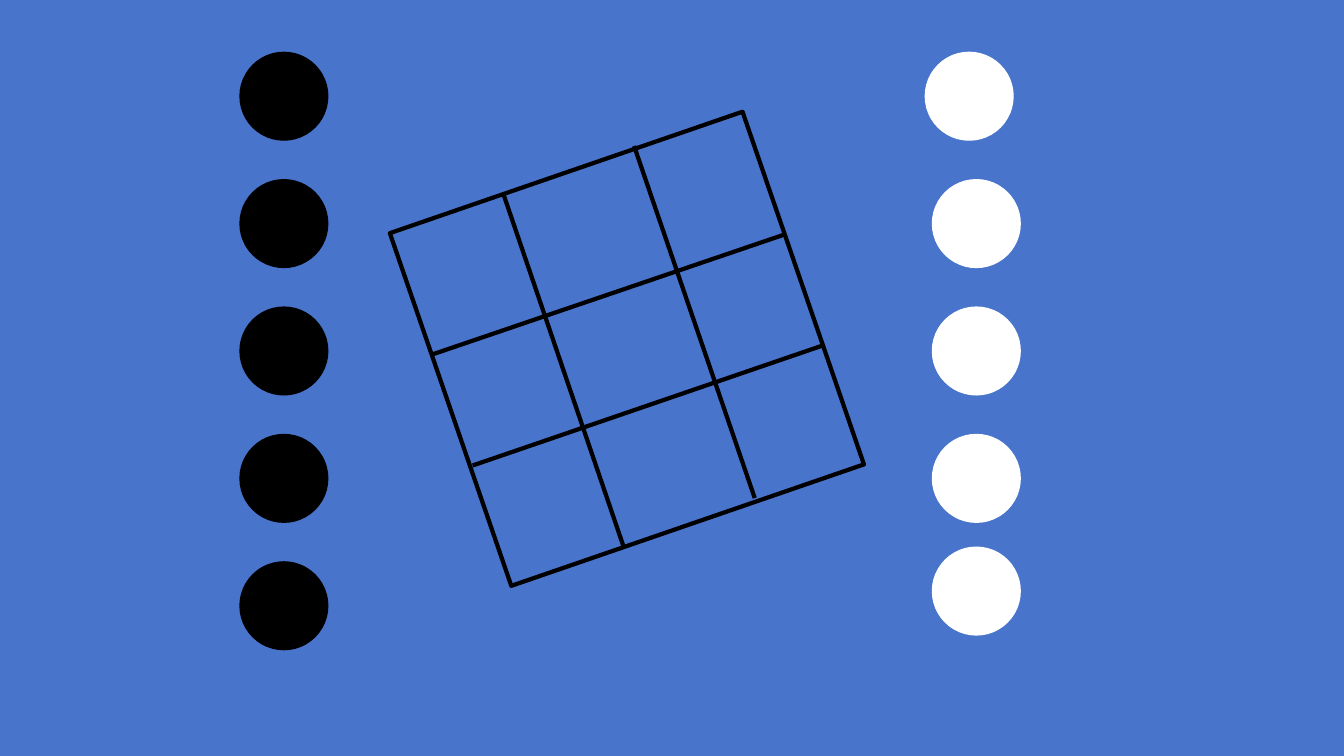
from lxml.etree import SubElement
from pptx import Presentation
from pptx.dml.color import RGBColor
from pptx.enum.shapes import MSO_CONNECTOR as Connector, MSO_SHAPE as Shape
from pptx.oxml.ns import qn
from pptx.util import Cm, Pt

COLORS = {"background": "4874CB", "black": "000000", "white": "FFFFFF"}
BOARD_LINE = {"color": "black", "width": 3}
PIECE_LINE_WIDTH = 1

BOARD = {"left": 11.1, "top": 4.09, "side": 9.4, "rotation": 341}
GRID_LINES = [
    ((10.87, 8.94), (19.74, 5.92)),
    ((11.91, 11.73), (20.78, 8.69)),
    ((15.72, 13.79), (12.7, 4.93)),
    ((19.02, 12.55), (15.98, 3.68)),
]

PIECE_SIZE = 2.21
ROW_TOPS = [1.32 + 3.21 * row for row in range(5)]
PIECES = {
    "black": [(6.05, top) for top in ROW_TOPS],
    # The first and last white pieces sit slightly off the regular column.
    "white": [(23.32, ROW_TOPS[0]), *((23.5, top) for top in ROW_TOPS[1:4]), (23.5, 13.79)],
}


def rgb(name):
    return RGBColor.from_string(COLORS[name])


class GameSlide:
    def __init__(self, presentation):
        self.slide = presentation.slides.add_slide(presentation.slide_layouts[6])
        self.shapes = self.slide.shapes
        background = self.slide.background.fill
        background.solid()
        background.fore_color.rgb = rgb("background")

    def outline(self, item, color, width):
        item.line.fill.solid()
        item.line.color.rgb = rgb(color)
        item.line.width = Pt(width)

    def board(self, left, top, side, rotation):
        square = self.shapes.add_shape(
            Shape.RECTANGLE, Cm(left), Cm(top), Cm(side), Cm(side))
        for attribute, value in {"rotation": rotation}.items():
            setattr(square, attribute, value)
        square.shadow.inherit = False
        square.fill.background()
        self.outline(square, **BOARD_LINE)

    def grid_line(self, start, end):
        divider = self.shapes.add_connector(
            Connector.STRAIGHT, *(Cm(value) for value in (*start, *end)))
        self.outline(divider, **BOARD_LINE)
        SubElement(divider._element.spPr, qn("a:effectLst"))

    def piece(self, left, top, color):
        disc = self.shapes.add_shape(
            Shape.OVAL, Cm(left), Cm(top), Cm(PIECE_SIZE), Cm(PIECE_SIZE))
        disc.shadow.inherit = False
        disc.fill.solid()
        disc.fill.fore_color.rgb = rgb(color)
        self.outline(disc, color, PIECE_LINE_WIDTH)


def main():
    presentation = Presentation()
    slide_size = {"slide_width": Cm(33.87), "slide_height": Cm(19.05)}
    for attribute, value in slide_size.items():
        setattr(presentation, attribute, value)

    game = GameSlide(presentation)
    game.board(**BOARD)
    for start, end in GRID_LINES:
        game.grid_line(start, end)
    for color, places in PIECES.items():
        for left, top in places:
            game.piece(left, top, color)

    presentation.save("out.pptx")


if __name__ == "__main__":
    main()
